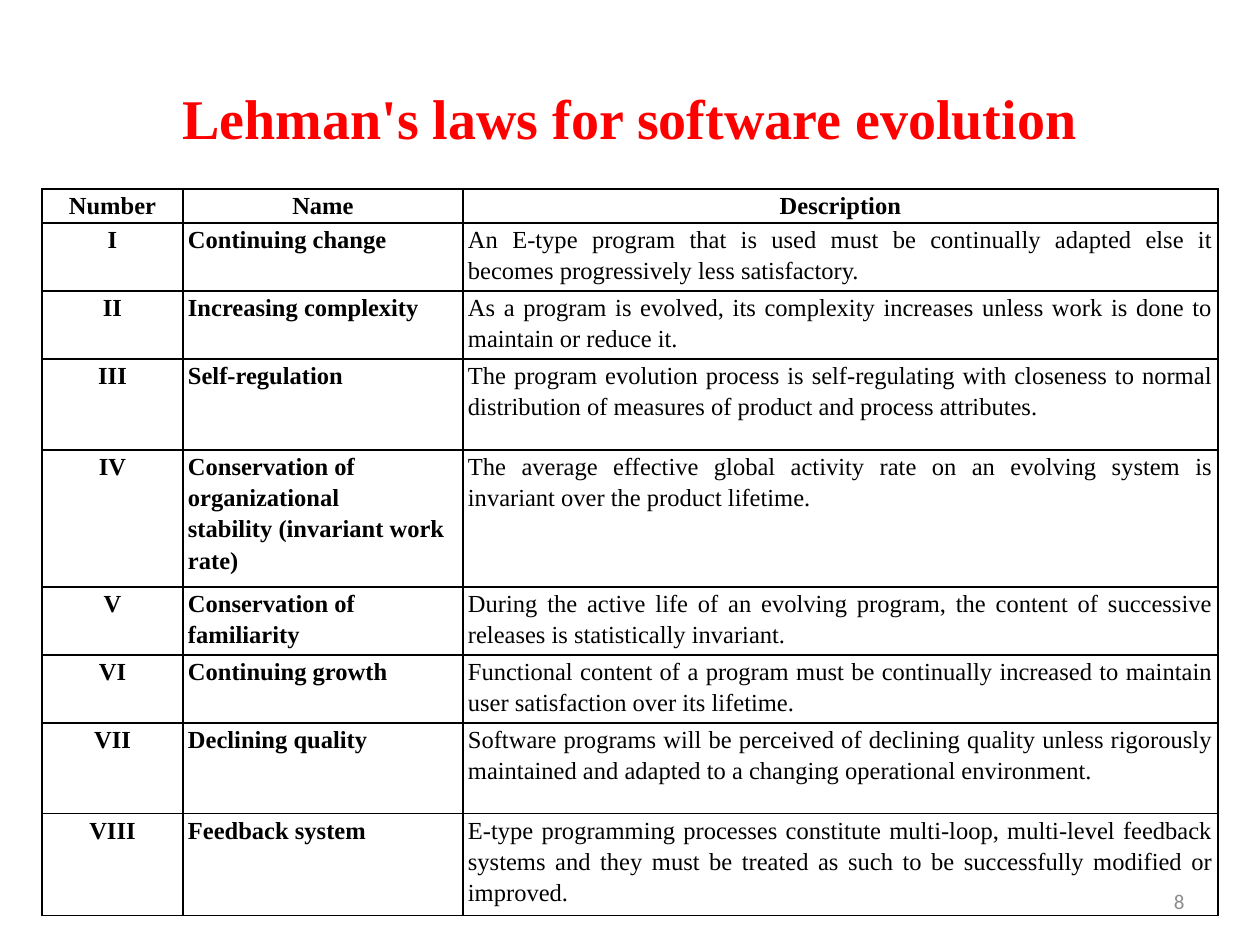
import pptx
import pptx.util
import pptx.dml.color
import pptx.enum.text
import pptx.oxml
import pptx.oxml.ns

ALIGN = pptx.enum.text.PP_ALIGN
ANCHOR = pptx.enum.text.MSO_ANCHOR
RED = pptx.dml.color.RGBColor(0xFF, 0x00, 0x00)
BLACK = pptx.dml.color.RGBColor(0x00, 0x00, 0x00)
GRAY = pptx.dml.color.RGBColor(0x8C, 0x8C, 0x8C)
SERIF = "Times New Roman"
SANS = "Calibri"

TITLE = "Lehman's laws for software evolution"
PAGE_NUMBER = "8"
HEADER = ("Number", "Name", "Description")
LAWS = [
    ("I", "Continuing change",
     "An E-type program that is used must be continually adapted else it becomes "
     "progressively less satisfactory."),
    ("II", "Increasing complexity",
     "As a program is evolved, its complexity increases unless work is done to "
     "maintain or reduce it."),
    ("III", "Self-regulation",
     "The program evolution process is self-regulating with closeness to normal "
     "distribution of measures of product and process attributes."),
    ("IV", "Conservation of organizational\nstability (invariant work rate)",
     "The average effective global activity rate on an evolving system is invariant "
     "over the product lifetime."),
    ("V", "Conservation of familiarity",
     "During the active life of an evolving program, the content of successive "
     "releases is statistically invariant."),
    ("VI", "Continuing growth",
     "Functional content of a program must be continually increased to maintain "
     "user satisfaction over its lifetime."),
    ("VII", "Declining quality",
     "Software programs will be perceived of declining quality unless rigorously "
     "maintained and adapted to a changing operational environment."),
    ("VIII", "Feedback system",
     "E-type programming processes constitute multi-loop, multi-level feedback "
     "systems and they must be treated as such to be successfully modified or "
     "improved."),
]
COLUMN_WIDTHS = (141, 280, 755)
ROW_HEIGHTS = (34, 68, 68, 91, 137, 68, 68, 91, 102)
COLUMN_ALIGNMENTS = (ALIGN.CENTER, ALIGN.LEFT, ALIGN.JUSTIFY)
TABLE_LEFT, TABLE_TOP = 42, 189
CELL_INSET = 5


def px(pixels):
    return pptx.util.Emu(round(pixels * 914400 / 126))


def format_text(text_frame, size, font_name, color, bold, alignment, spacing=None):
    for paragraph in text_frame.paragraphs:
        paragraph.alignment = alignment
        paragraph.line_spacing = spacing
        for run in paragraph.runs:
            run.font.size = pptx.util.Pt(size)
            run.font.name = font_name
            run.font.color.rgb = color
            run.font.bold = bold


def add_text(slide, box, text, *style):
    text_frame = slide.shapes.add_textbox(*map(px, box)).text_frame
    text_frame.word_wrap = True
    text_frame.vertical_anchor = ANCHOR.MIDDLE
    text_frame.text = text
    format_text(text_frame, *style)


def add_borders(cell):
    properties = cell._tc.get_or_add_tcPr()
    for position, side in enumerate(("lnL", "lnR", "lnT", "lnB")):
        border = pptx.oxml.parse_xml(
            f'<a:{side} {pptx.oxml.ns.nsdecls("a")} w="12700"><a:solidFill>'
            f'<a:srgbClr val="{BLACK}"/></a:solidFill></a:{side}>')
        properties.insert(position, border)


def fill_cell(cell, text, bold, alignment):
    cell.margin_left = cell.margin_right = px(CELL_INSET)
    cell.margin_top = cell.margin_bottom = 0
    cell.fill.background()
    add_borders(cell)
    cell.text_frame.text = text
    format_text(cell.text_frame, 14, SERIF, BLACK, bold, alignment, 1.15)


def add_laws_table(slide):
    rows = [HEADER, *LAWS]
    frame = slide.shapes.add_table(
        len(rows), len(HEADER), px(TABLE_LEFT), px(TABLE_TOP),
        px(sum(COLUMN_WIDTHS)), px(sum(ROW_HEIGHTS)))
    table = frame.table
    table.first_row = table.horz_banding = False
    for column, width in zip(table.columns, COLUMN_WIDTHS):
        column.width = px(width)
    for row, height in zip(table.rows, ROW_HEIGHTS):
        row.height = px(height)
    for row_index, texts in enumerate(rows):
        is_header = row_index == 0
        for column_index, text in enumerate(texts):
            alignment = ALIGN.CENTER if is_header else COLUMN_ALIGNMENTS[column_index]
            fill_cell(table.cell(row_index, column_index), text,
                      is_header or column_index < 2, alignment)


presentation = pptx.Presentation()
presentation.slide_width = px(1260)
presentation.slide_height = px(945)
slide = presentation.slides.add_slide(presentation.slide_layouts[6])
add_text(slide, (63, 38, 1134, 158), TITLE, 32, SERIF, RED, True, ALIGN.CENTER)
add_text(slide, (903, 876, 294, 50), PAGE_NUMBER, 12, SANS, GRAY, False, ALIGN.RIGHT)
add_laws_table(slide)
presentation.save("out.pptx")
